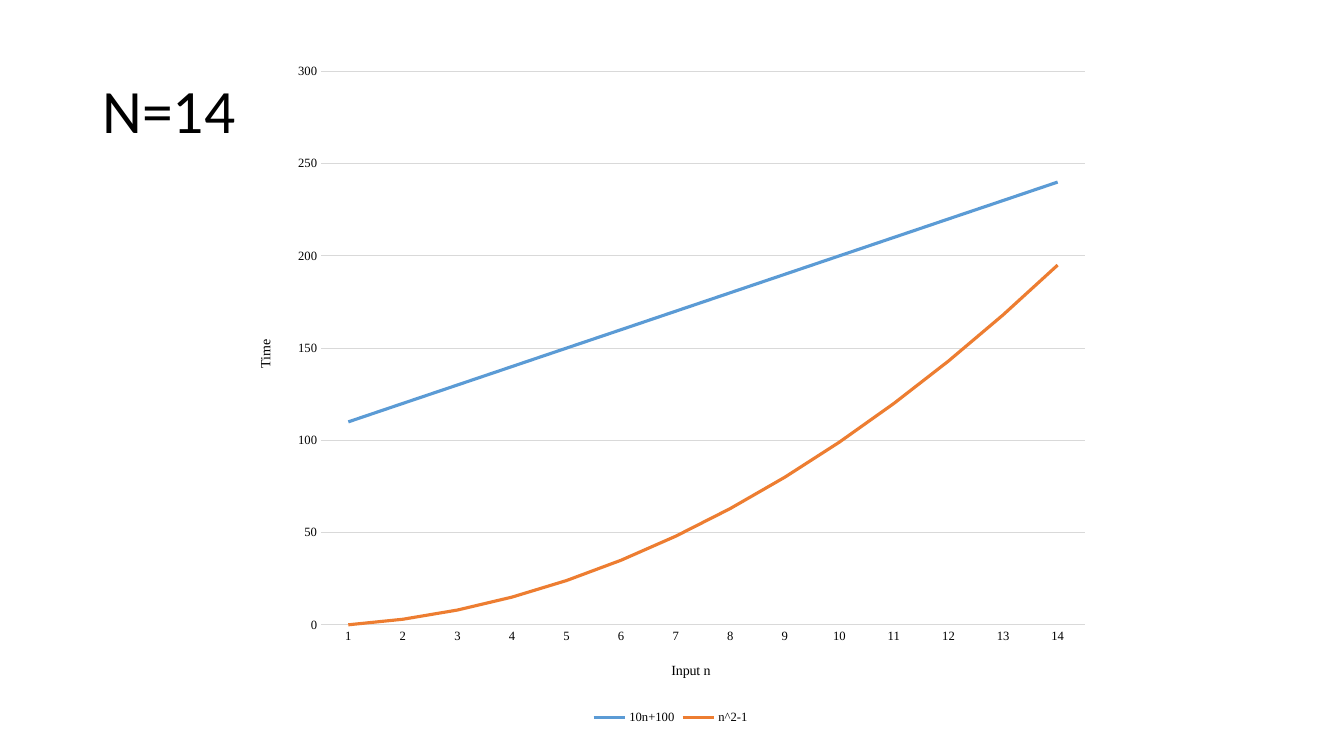
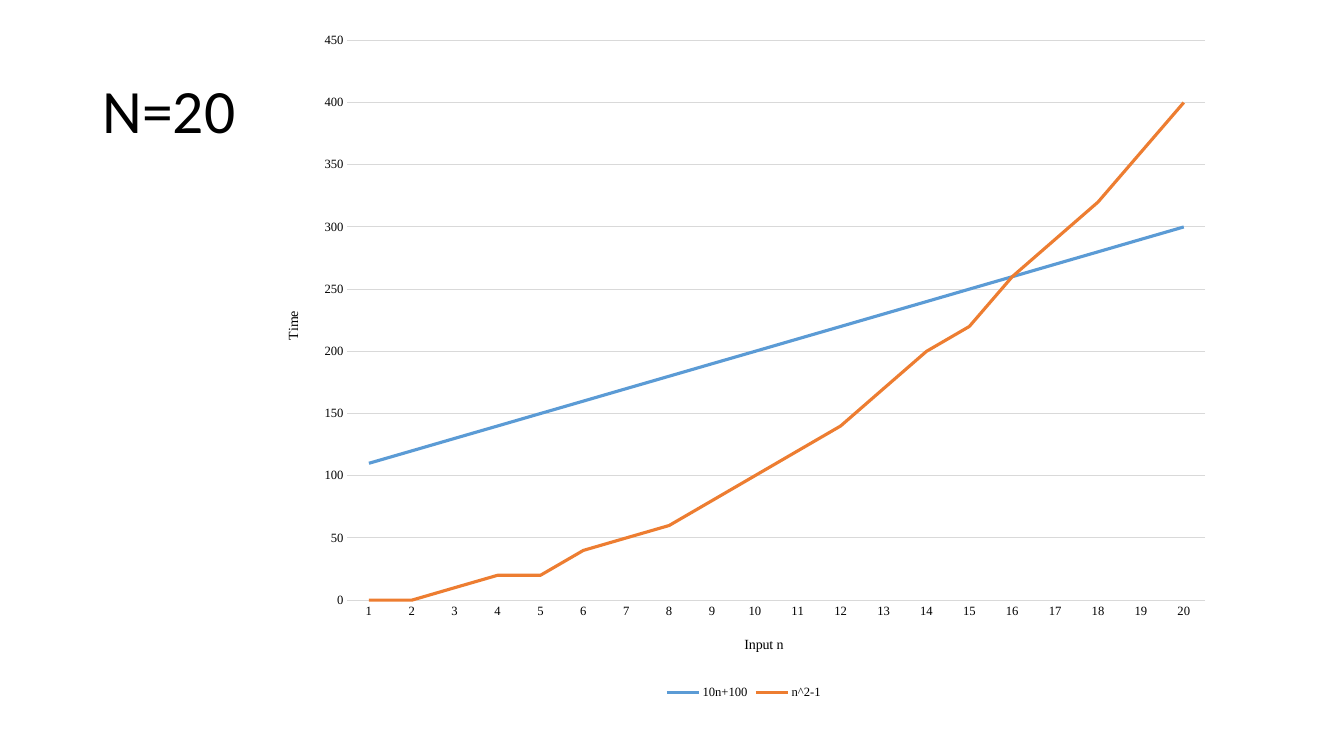
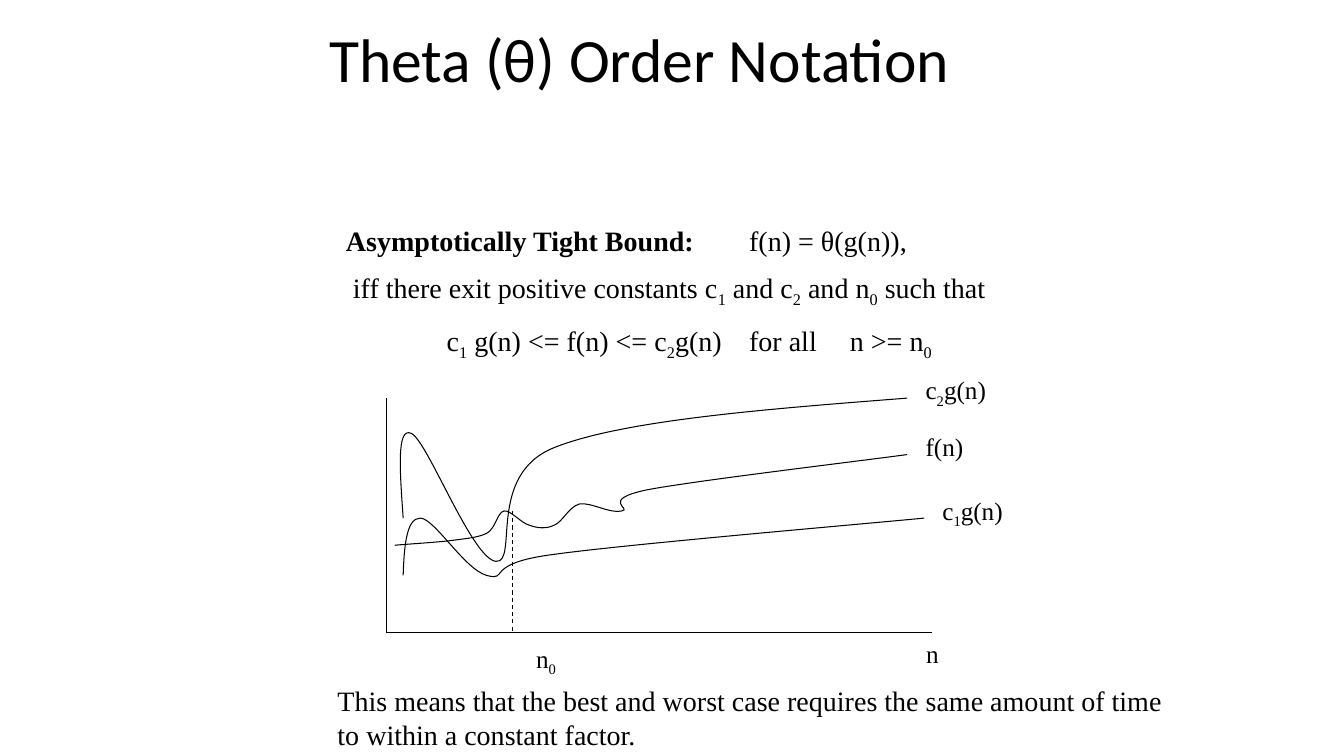
from dataclasses import dataclass

from lxml import etree
from pptx import Presentation
from pptx.chart.data import CategoryChartData
from pptx.dml.color import RGBColor
from pptx.enum.chart import XL_CHART_TYPE, XL_LEGEND_POSITION, XL_TICK_MARK
from pptx.enum.dml import MSO_LINE
from pptx.enum.shapes import MSO_CONNECTOR
from pptx.enum.text import MSO_ANCHOR, PP_ALIGN
from pptx.oxml.ns import qn
from pptx.util import Pt


@dataclass(frozen=True)
class Theme:
    ink: RGBColor = RGBColor(0x00, 0x00, 0x00)
    grid: RGBColor = RGBColor(0xD9, 0xD9, 0xD9)
    linear: RGBColor = RGBColor(0x5B, 0x9B, 0xD5)
    quadratic: RGBColor = RGBColor(0xED, 0x7D, 0x31)
    title_font: str = "Calibri"
    body_font: str = "Times New Roman"
    title_size: float = 44
    body_size: float = 20
    label_size: float = 18
    axis_title_size: float = 10
    tick_size: float = 9
    tab: float = 72
    thin: float = 0.75
    curve: float = 2.25


def place(parent, index, inner=False, **fractions):
    """Give a chart part a manual layout, as fractions of the chart."""
    for old in parent.findall(qn("c:layout")):
        parent.remove(old)
    layout = etree.Element(qn("c:layout"))
    manual = etree.SubElement(layout, qn("c:manualLayout"))
    settings = {"layoutTarget": "inner"} if inner else {}
    settings |= {"xMode": "edge", "yMode": "edge"} | fractions
    for tag, value in settings.items():
        etree.SubElement(manual, qn(f"c:{tag}")).set("val", str(value))
    parent.insert(index, layout)


class Deck:
    def __init__(self, theme):
        self.theme = theme
        self.presentation = Presentation()
        self.presentation.slide_width = Pt(960)
        self.presentation.slide_height = Pt(540)
        self.slide = None

    def style(self, font, size, name=None):
        font.name = name or self.theme.body_font
        font.size = Pt(size)
        font.bold = False
        font.color.rgb = self.theme.ink

    def add_slide(self, title, left=66, top=28.8, width=828, height=104.4):
        self.slide = self.presentation.slides.add_slide(self.presentation.slide_layouts[5])
        heading = self.slide.shapes.title
        heading.left, heading.top = Pt(left), Pt(top)
        heading.width, heading.height = Pt(width), Pt(height)
        heading.text_frame.text = title
        heading.text_frame.vertical_anchor = MSO_ANCHOR.MIDDLE
        paragraph = heading.text_frame.paragraphs[0]
        paragraph.alignment = PP_ALIGN.LEFT
        paragraph.line_spacing = 0.9
        self.style(paragraph.font, self.theme.title_size, self.theme.title_font)

    def text(self, lines, left, top, width, height, size, bold_lead="", centred=False):
        """Add a text box; an underscore makes the next character a subscript."""
        frame = self.slide.shapes.add_textbox(
            Pt(left), Pt(top), Pt(width), Pt(height)).text_frame
        frame.word_wrap = not centred
        if centred:
            frame.vertical_anchor = MSO_ANCHOR.MIDDLE
        for index, line in enumerate(lines):
            paragraph = frame.add_paragraph() if index else frame.paragraphs[0]
            self.style(paragraph.font, size)
            paragraph.alignment = PP_ALIGN.CENTER if centred else PP_ALIGN.LEFT
            paragraph.space_before = Pt(0 if centred else size / 2)
            paragraph._p.get_or_add_pPr().set("defTabSz", str(Pt(self.theme.tab)))
            if bold_lead and index == 0:
                lead = paragraph.add_run()
                lead.text = bold_lead
                lead.font.bold = True
            plain, *marked = line.split("_")
            pieces = [(plain, False)]
            for part in marked:
                pieces += [(part[0], True), (part[1:], False)]
            for piece, lowered in pieces:
                if piece:
                    run = paragraph.add_run()
                    run.text = piece
                    if lowered:
                        run.font._element.set("baseline", "-25000")

    def line(self, start, end, dashed=False):
        connector = self.slide.shapes.add_connector(
            MSO_CONNECTOR.STRAIGHT, *(Pt(value) for value in (*start, *end)))
        etree.SubElement(connector._element.spPr, qn("a:effectLst"))
        self.outline(connector.line)
        if dashed:
            connector.line.dash_style = MSO_LINE.DASH

    def outline(self, line):
        line.color.rgb = self.theme.ink
        line.width = Pt(self.theme.thin)

    def curve(self, start, *segments):
        """Draw a chain of cubic curves, each given by two controls and an end."""
        builder = self.slide.shapes.build_freeform(Pt(start[0]), Pt(start[1]))
        builder.add_line_segments(
            [(Pt(x), Pt(y)) for segment in segments for x, y in segment], close=False)
        outline = builder.convert_to_shape()
        steps = list(outline._element.iter(qn("a:lnTo")))
        for first in range(0, len(steps), 3):
            cubic = etree.Element(qn("a:cubicBezTo"))
            steps[first].addprevious(cubic)
            for step in steps[first:first + 3]:
                cubic.append(step[0])
                step.getparent().remove(step)
        outline.shadow.inherit = False
        outline.fill.background()
        self.outline(outline.line)

    def growth_chart(self, largest, digits, left, top, width, height):
        """Plot 10n+100 against n^2-1 for n from 1 to largest."""
        theme = self.theme
        inputs = range(1, largest + 1)
        data = CategoryChartData()
        data.categories = [str(n) for n in inputs]
        data.add_series("10n+100", [10 * n + 100 for n in inputs])
        data.add_series("n^2-1", [round(n * n - 1, digits) for n in inputs])
        chart = self.slide.shapes.add_chart(
            XL_CHART_TYPE.LINE, Pt(left), Pt(top), Pt(width), Pt(height), data).chart
        chart.has_title = False
        self.style(chart.font, theme.axis_title_size)
        chart.has_legend = True
        chart.legend.position = XL_LEGEND_POSITION.BOTTOM
        chart.legend.include_in_layout = False
        self.style(chart.legend.font, theme.tick_size)

        plot = chart.plots[0]
        plot.vary_by_categories = False
        for series, colour in zip(plot.series, (theme.linear, theme.quadratic)):
            series.smooth = False
            series.format.line.color.rgb = colour
            series.format.line.width = Pt(theme.curve)

        for axis, name in ((chart.category_axis, "Input n"), (chart.value_axis, "Time")):
            axis.major_tick_mark = axis.minor_tick_mark = XL_TICK_MARK.NONE
            self.style(axis.tick_labels.font, theme.tick_size)
            axis.axis_title.text_frame.text = name
            self.style(axis.axis_title.text_frame.paragraphs[0].font, theme.axis_title_size)
        chart.value_axis.format.line.fill.background()
        chart.value_axis.has_major_gridlines = True
        for rule in (chart.category_axis.format.line,
                     chart.value_axis.major_gridlines.format.line):
            rule.color.rgb = theme.grid
            rule.width = Pt(theme.thin)

        margin_left, margin_top, margin_right, margin_bottom = 59.5, 15, 13, 74
        place(chart.element.find(f".//{qn('c:plotArea')}"), 0, inner=True,
              x=round(margin_left / width, 3),
              y=round(margin_top / height, 3),
              w=round(1 - (margin_left + margin_right) / width, 3),
              h=round(1 - (margin_top + margin_bottom) / height, 3))
        place(chart.category_axis.axis_title._element, 1, x=0.498, y=0.896)
        place(chart.value_axis.axis_title._element, 1, x=0.018, y=0.423)


def theta_slide(deck):
    theme = deck.theme
    deck.add_slide("Theta (θ) Order Notation", left=228, top=0, width=612, height=90)
    deck.text(
        ["f(n) = θ(g(n)),",
         " iff there exit positive constants c_1 and c_2 and n_0 such that",
         "\tc_1 g(n) <= f(n) <= c_2g(n) \tfor all \tn >= n_0"],
        240, 156, 600, 103, theme.body_size, bold_lead="Asymptotically Tight Bound:\t")

    origin = (276, 451.5)
    deck.line((276, 284.4), origin)
    deck.line(origin, (666, 451.5))
    for name, left, top in (("n", 642, 446.4), ("n_0", 366, 451.5)):
        deck.text([name], left, top, 48, 40.3, theme.label_size, centred=True)

    # f(n)
    deck.curve(
        (282, 389.5),
        ((288.7, 388.8), (313.2, 387.4), (324, 385.9)),
        ((334.8, 384.5), (342, 383.8), (347.8, 380.9)),
        ((354.2, 377.3), (355, 366.5), (360, 365)),
        ((365, 364.3), (372.2, 373.7), (378, 375.1)),
        ((383.8, 377.3), (390.2, 378), (396, 375.1)),
        ((401.8, 373), (406.1, 362.2), (414, 360)),
        ((421.9, 358.6), (436.3, 367.2), (444.2, 365)),
        ((452.2, 363.6), (427.7, 357.1), (462.2, 349.9)),
        ((496.1, 343.4), (617, 329), (648, 324.7)))
    # Upper bound c2 g(n)
    deck.curve(
        (288, 370.1),
        ((285.8, 337.7), (283, 304.6), (293.8, 309.6)),
        ((305.3, 314.6), (337, 398.9), (354.2, 401)),
        ((370.8, 402.5), (347, 339.1), (396, 319.7)),
        ((445, 300.2), (546.5, 292.3), (648, 284.4)))
    # Lower bound c1 g(n)
    deck.curve(
        (288, 411.1),
        ((288.7, 391), (290.2, 370.1), (300.2, 370.1)),
        ((310.3, 370.1), (331.9, 406.8), (347.8, 411.1)),
        ((364.3, 415.4), (344.2, 402.5), (396, 396)),
        ((447.8, 388.8), (616.3, 374.4), (660.2, 370.1)))
    deck.line((366, 365), (366, 451.5), dashed=True)

    for name, left, top in (("c_2g(n)", 654, 264.2), ("c_1g(n)", 666, 350),
                            ("f(n)", 654, 304.6)):
        deck.text([name], left, top, 84, 28.8, theme.label_size)
    deck.text(
        ["This means that the best and worst case requires the same amount of time "
         "to within a constant factor."],
        234, 484.6, 606, 55.4, theme.body_size)


def main():
    deck = Deck(Theme())
    for largest, digits, frame in ((14, 0, (170, 36, 618, 484.5)),
                                   (20, -1, (188.6, 13.7, 685.4, 488.9))):
        deck.add_slide(f"N={largest}")
        deck.growth_chart(largest, digits, *frame)
    theta_slide(deck)
    deck.presentation.save("out.pptx")


if __name__ == "__main__":
    main()
